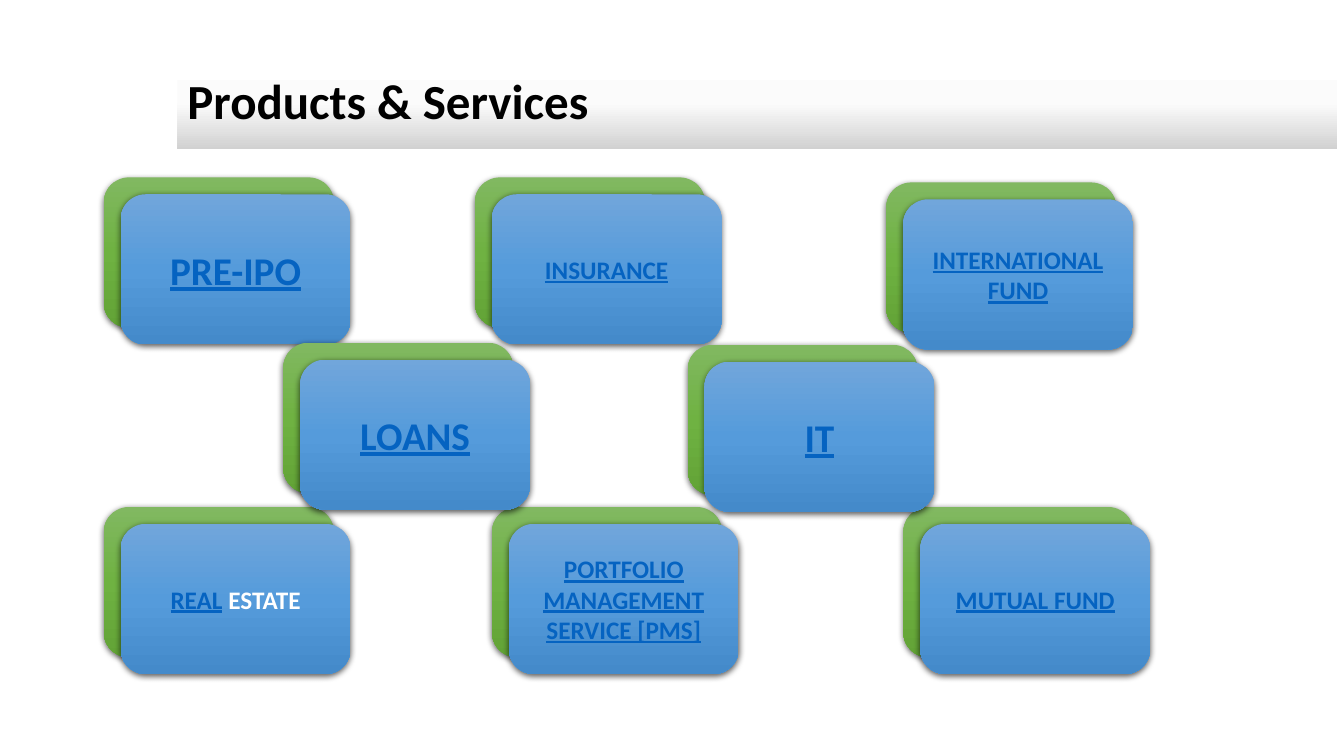
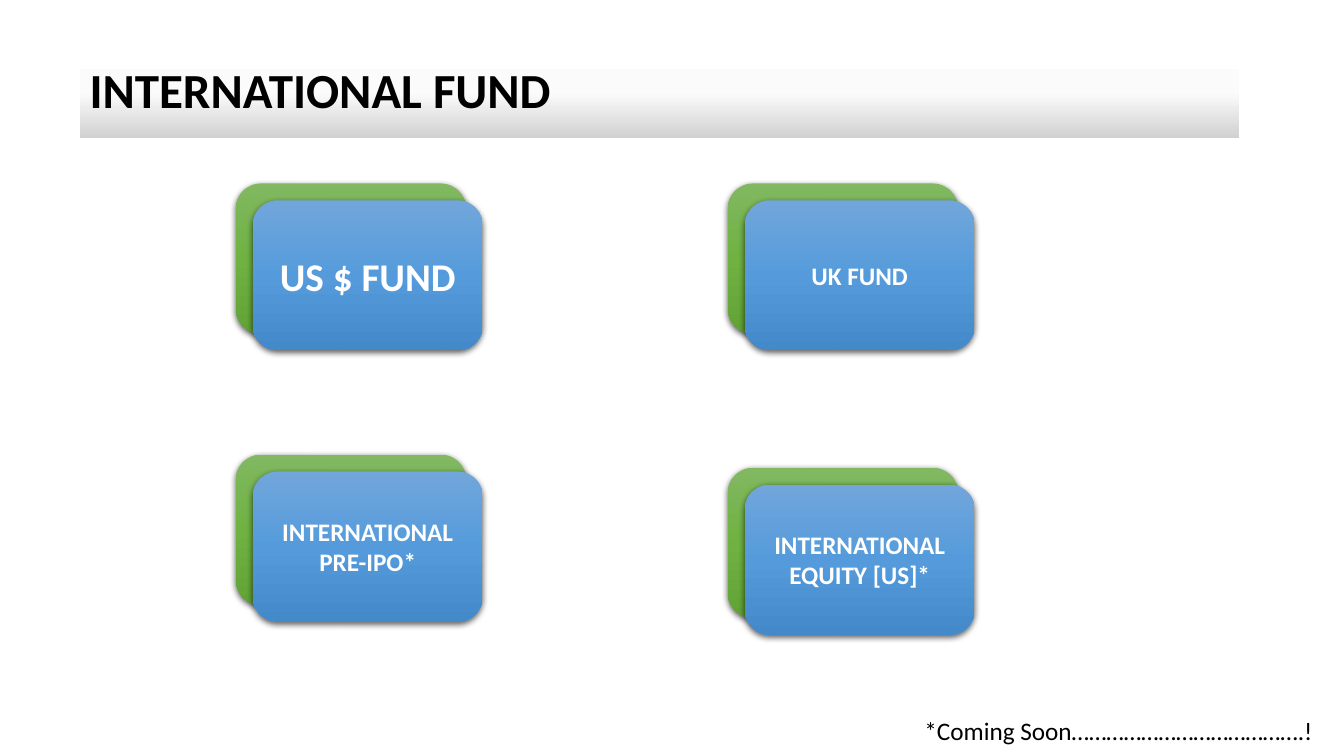
import pptx
import pptx.dml.color
import pptx.enum.shapes
import pptx.enum.text
import pptx.oxml.ns
import pptx.util
from lxml import etree

qn = pptx.oxml.ns.qn
Inches, Pt = pptx.util.Inches, pptx.util.Pt
SHAPES = pptx.enum.shapes.MSO_SHAPE
ALIGN = pptx.enum.text.PP_ALIGN
ANCHOR = pptx.enum.text.MSO_ANCHOR

# Shared look
COLORS = {"link": "0563C1", "white": "FFFFFF", "black": "000000"}
GRADIENTS = {
    "back": ("81B861", "6FB242", "62A336"),
    "front": ("71A6DB", "559BDB", "448ACA"),
    "band": ("FFFFFF", "FBFBFB", "D1D1D1"),
}
FONT = "Calibri"
CARD_WIDTH, CARD_HEIGHT, CARD_STEP = 2.28, 1.49, 0.167
BAND_WIDTH, BAND_HEIGHT = 11.5, 0.91
LARGE, SMALL = 28, 18


def add_block(page, kind, gradient, left, top, width, height, shadow=False):
    """Add a borderless shape with a three-stop vertical gradient."""
    block = page.shapes.add_shape(
        kind, Inches(left), Inches(top), Inches(width), Inches(height))
    block.line.fill.background()
    block.shadow.inherit = False
    block.fill.gradient()
    block.fill.gradient_angle = 270
    properties = block.fill._xPr
    stops = properties.find(".//" + qn("a:gsLst"))
    for stop in list(stops):
        stops.remove(stop)
    for position, color in zip((0, 50000, 100000), GRADIENTS[gradient]):
        stop = etree.SubElement(stops, qn("a:gs"), pos=str(position))
        etree.SubElement(stop, qn("a:srgbClr"), val=color)
    if shadow:
        outer = etree.SubElement(
            properties.find(qn("a:effectLst")), qn("a:outerShdw"),
            blurRad=str(Pt(4.5)), dist=str(Pt(1.5)), dir="5400000",
            algn="ctr", rotWithShape="0")
        color = etree.SubElement(outer, qn("a:srgbClr"), val=COLORS["black"])
        etree.SubElement(color, qn("a:alpha"), val="63000")
    return block


def write(box, spans, size, bold=True, align=ALIGN.LEFT):
    """Fill a box with one paragraph of (text, colour name) spans."""
    box.text_frame.vertical_anchor = ANCHOR.MIDDLE
    para = box.text_frame.paragraphs[0]
    para.alignment = align
    para.font.name, para.font.size, para.font.bold = FONT, Pt(size), bold
    for text, color in spans:
        span = para.add_run()
        span.text = text
        span.font.color.rgb = pptx.dml.color.RGBColor.from_string(COLORS[color])
        if color == "link":
            span.font.underline = True
    return para


# Content: title, band corner, grid lines, and cards as (column, row, size, spans)
pages = [
    {
        "title": "Products & Services",
        "band": (1.76, 0.57),
        "columns": (1.03, 2.81, 4.71, 4.88, 6.82, 8.79, 8.96),
        "rows": (1.76, 1.81, 3.4, 3.42, 5.03),
        "cards": [
            (0, 0, LARGE, [("PRE-IPO", "link")]),
            (2, 0, SMALL, [("INSURANCE", "link")]),
            (5, 1, SMALL, [("INTERNATIONAL FUND", "link")]),
            (0, 4, SMALL, [("REAL", "link"), (" ESTATE", "white")]),
            (3, 4, SMALL, [("PORTFOLIO MANAGEMENT SERVICE [PMS]", "link")]),
            (6, 4, SMALL, [("MUTUAL FUND", "link")]),
            (4, 3, LARGE, [("IT", "link")]),
            (1, 2, LARGE, [("LOANS", "link")]),
        ],
    },
    {
        "title": "INTERNATIONAL FUND",
        "band": (0.79, 0.46),
        "columns": (2.34, 7.22),
        "rows": (1.82, 4.51, 4.64),
        "cards": [
            (0, 0, LARGE, [("US $ FUND", "white")]),
            (1, 0, SMALL, [("UK FUND", "white")]),
            (0, 1, SMALL, [("INTERNATIONAL PRE-IPO*", "white")]),
            (1, 2, SMALL, [("INTERNATIONAL EQUITY [US]*", "white")]),
        ],
        "footnote": "*Coming Soon………………………………….!",
    },
]

deck = pptx.Presentation()
deck.slide_width, deck.slide_height = Inches(13.33), Inches(7.5)
blank = deck.slide_layouts[6]

for content in pages:
    page = deck.slides.add_slide(blank)

    # Cards: a green back with a blue front one step down and right
    for column, row, size, spans in content["cards"]:
        left, top = content["columns"][column], content["rows"][row]
        for layer, gradient in enumerate(("back", "front")):
            shift = layer * CARD_STEP
            card = add_block(page, SHAPES.ROUNDED_RECTANGLE, gradient,
                             left + shift, top + shift,
                             CARD_WIDTH, CARD_HEIGHT, shadow=True)
        write(card, spans, size, align=ALIGN.CENTER)

    # Footnote
    if "footnote" in content:
        note = page.shapes.add_textbox(
            Inches(9.07), Inches(7.05), Inches(4.08), Inches(0.4))
        note.text_frame.word_wrap = False
        write(note, [(content["footnote"], "black")], SMALL, bold=False)

    # Title band
    band = add_block(page, SHAPES.RECTANGLE, "band", *content["band"],
                     BAND_WIDTH, BAND_HEIGHT)
    write(band, [(content["title"], "black")], 35).line_spacing = 0.9

deck.save("out.pptx")
